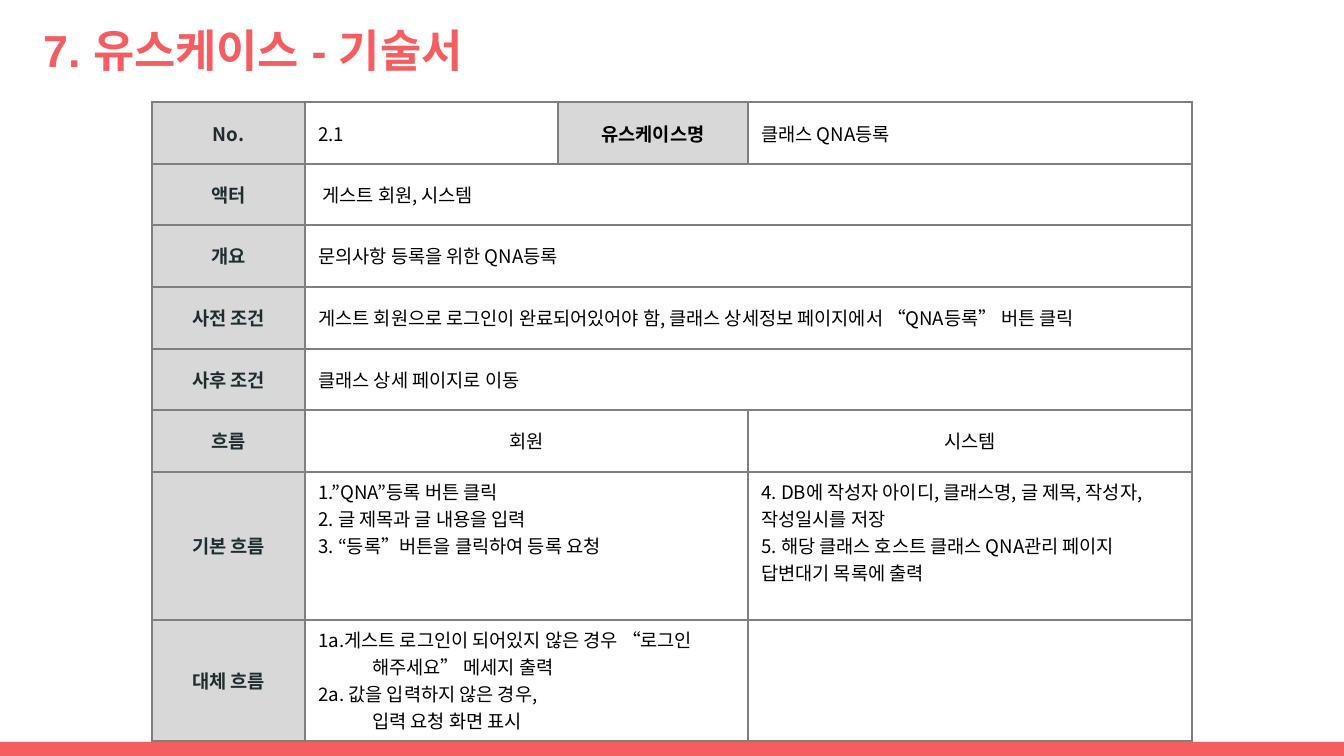
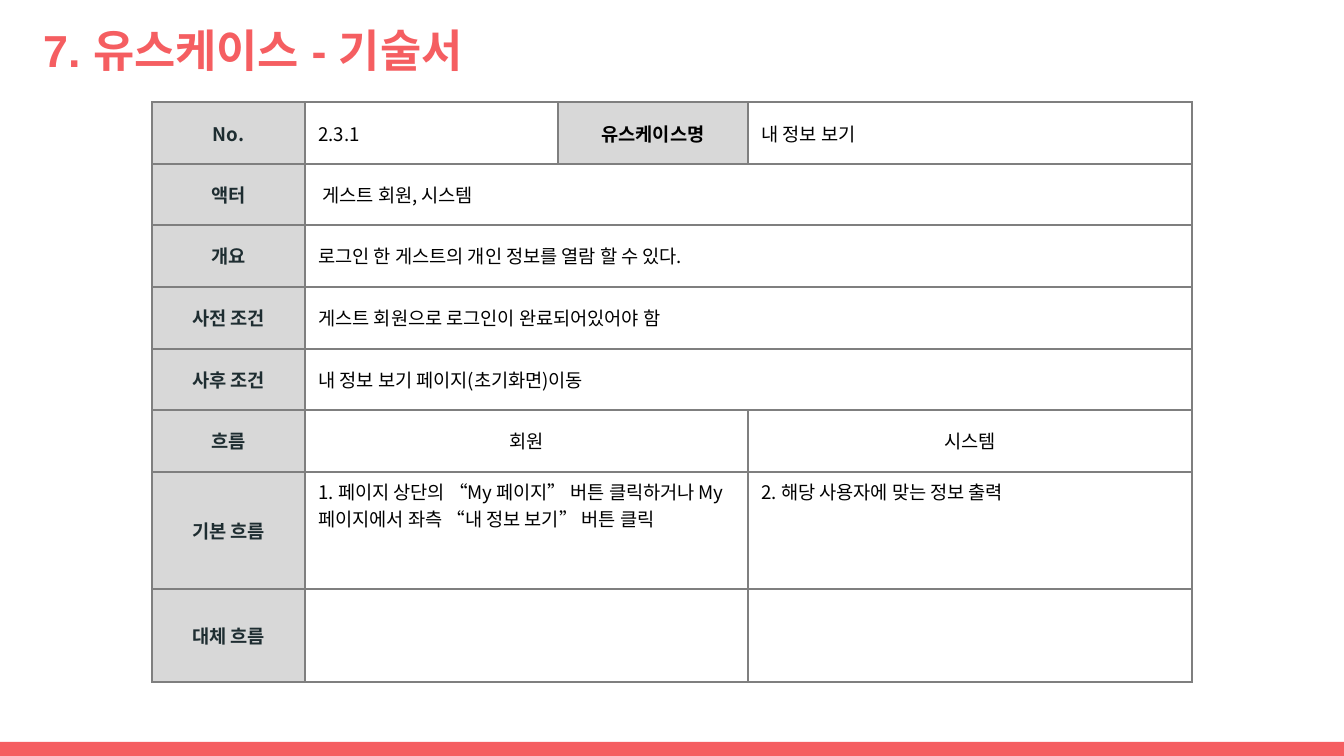
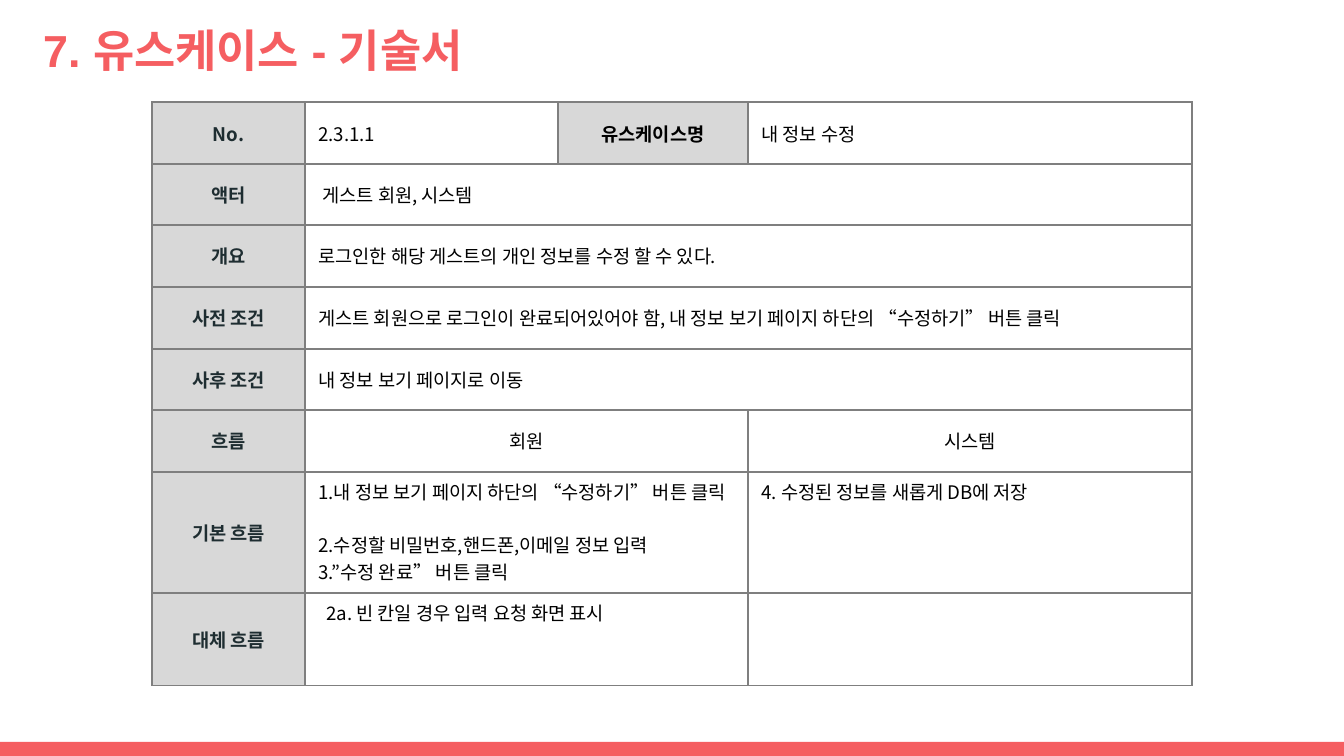
from dataclasses import dataclass

from lxml import etree
from pptx import Presentation
from pptx.dml.color import RGBColor
from pptx.enum import shapes, text
from pptx.oxml import ns
from pptx.util import Emu, Pt

PX = 914400 / 134.4
SLIDE_WIDTH, SLIDE_HEIGHT = 1344, 756

CORAL = RGBColor(0xF5, 0x5E, 0x61)
GREY = RGBColor(0xD8, 0xD8, 0xD8)
BORDER = RGBColor(0x7F, 0x7F, 0x7F)
LABEL_INK = RGBColor(0x1E, 0x2D, 0x31)
BLACK = RGBColor(0, 0, 0)

TITLE_FONT = "Arial"
TABLE_FONT = "Noto Sans CJK KR"

TITLE_BOX = (30, 9, 1252, 81)
BAND_BOX = (0, 742, SLIDE_WIDTH, 14)
TABLE_LEFT, TABLE_TOP = 152, 102
COLUMNS = (153, 253, 190, 444)
HEADER_ROWS = (62, 61, 62, 62, 61, 62)
LABELS = ("No.", "액터", "개요", "사전 조건", "사후 조건", "흐름", "기본 흐름", "대체 흐름")
HANG = 54


@dataclass
class Line:
    text: str
    margin: int = 0
    indent: int = 0
    gap: int = 0


@dataclass
class UseCase:
    number: str
    name: str
    summary: str
    precondition: str
    postcondition: str
    member_steps: list
    system_steps: list
    alternatives: list
    flow_heights: tuple


USE_CASES = [
    UseCase(
        "2.1",
        "클래스 QNA등록",
        "문의사항 등록을 위한 QNA등록",
        "게스트 회원으로 로그인이 완료되어있어야 함, 클래스 상세정보 페이지에서 “QNA등록” 버튼 클릭",
        "클래스 상세 페이지로 이동",
        [
            Line("1.”QNA”등록 버튼 클릭"),
            Line("2. 글 제목과 글 내용을 입력"),
            Line("3. “등록”버튼을 클릭하여 등록 요청"),
        ],
        [
            Line("4. DB에 작성자 아이디, 클래스명, 글 제목, 작성자, 작성일시를 저장"),
            Line("5. 해당 클래스 호스트 클래스 QNA관리 페이지 답변대기 목록에 출력"),
        ],
        [
            Line("1a.게스트 로그인이 되어있지 않은 경우 “로그인 해주세요” 메세지 출력", HANG, -HANG),
            Line("2a. 값을 입력하지 않은 경우,\n입력 요청 화면 표시", HANG, -HANG),
        ],
        (148, 121),
    ),
    UseCase(
        "2.3.1",
        "내 정보 보기",
        "로그인 한 게스트의 개인 정보를 열람 할 수 있다.",
        "게스트 회원으로 로그인이 완료되어있어야 함",
        "내 정보 보기 페이지(초기화면)이동",
        [Line("1. 페이지 상단의 “My 페이지” 버튼 클릭하거나 My페이지에서 좌측 “내 정보 보기” 버튼 클릭")],
        [Line("2. 해당 사용자에 맞는 정보 출력")],
        [],
        (117, 93),
    ),
    UseCase(
        "2.3.1.1",
        "내 정보 수정",
        "로그인한 해당 게스트의 개인 정보를 수정 할 수 있다.",
        "게스트 회원으로 로그인이 완료되어있어야 함, 내 정보 보기 페이지 하단의 “수정하기” 버튼 클릭",
        "내 정보 보기 페이지로 이동",
        [
            Line("1.내 정보 보기 페이지 하단의 “수정하기” 버튼 클릭"),
            Line("2.수정할 비밀번호,핸드폰,이메일 정보 입력", gap=14),
            Line("3.”수정 완료” 버튼 클릭"),
        ],
        [Line("4. 수정된 정보를 새롭게 DB에 저장")],
        [Line("2a. 빈 칸일 경우 입력 요청 화면 표시", HANG, 8 - HANG)],
        (121, 93),
    ),
]


def px(length):
    return Emu(round(length * PX))


def style_paragraph(paragraph, font_name, size, color, bold):
    font = paragraph.font
    font.name, font.size, font.bold = font_name, Pt(size), bold
    font.color.rgb = color
    defaults = paragraph._p.pPr.find(ns.qn("a:defRPr"))
    etree.SubElement(defaults, ns.qn("a:ea"), typeface=font_name)


def add_band(slide, box):
    band = slide.shapes.add_shape(shapes.MSO_SHAPE.RECTANGLE, *map(px, box))
    band.shadow.inherit = False
    band.fill.solid()
    band.fill.fore_color.rgb = CORAL
    band.line.fill.background()


def add_title(slide, box, title):
    frame = slide.shapes.add_textbox(*map(px, box)).text_frame
    frame.word_wrap = True
    frame.vertical_anchor = text.MSO_ANCHOR.MIDDLE
    paragraph = frame.paragraphs[0]
    paragraph.text = title
    style_paragraph(paragraph, TITLE_FONT, 24, CORAL, True)


def format_cell(cell, shaded):
    properties = cell._tc.get_or_add_tcPr()
    for side in ("lnL", "lnR", "lnT", "lnB"):
        line = etree.SubElement(properties, ns.qn(f"a:{side}"), w=str(Pt(1)))
        fill = etree.SubElement(line, ns.qn("a:solidFill"))
        etree.SubElement(fill, ns.qn("a:srgbClr"), val=str(BORDER))
    if shaded:
        cell.fill.solid()
        cell.fill.fore_color.rgb = GREY
    else:
        cell.fill.background()


def write_cell(cell, lines, color=BLACK, bold=False, centred=False, middle=True):
    cell.vertical_anchor = text.MSO_ANCHOR.MIDDLE if middle else text.MSO_ANCHOR.TOP
    frame = cell.text_frame
    for index, line in enumerate(lines or [Line("")]):
        paragraph = frame.add_paragraph() if index else frame.paragraphs[0]
        paragraph.text = line.text
        paragraph.alignment = text.PP_ALIGN.CENTER if centred else text.PP_ALIGN.LEFT
        if line.gap:
            paragraph.space_before = Pt(line.gap)
        if line.margin:
            paragraph._p.pPr.set("marL", str(px(line.margin)))
            paragraph._p.pPr.set("indent", str(px(line.indent)))
        style_paragraph(paragraph, TABLE_FONT, 10, color, bold)


def add_use_case_table(slide, left, top, use_case):
    heights = HEADER_ROWS + use_case.flow_heights
    box = (left, top, sum(COLUMNS), sum(heights))
    table = slide.shapes.add_table(len(heights), len(COLUMNS), *map(px, box)).table
    table.first_row = table.horz_banding = False
    for column, width in zip(table.columns, COLUMNS):
        column.width = px(width)
    for row, height in zip(table.rows, heights):
        row.height = px(height)

    for row in range(len(heights)):
        for column in range(len(COLUMNS)):
            format_cell(table.cell(row, column), column == 0 or (row, column) == (0, 2))
        if row:
            table.cell(row, 1).merge(table.cell(row, 3 if row < 5 else 2))

    for row, label in enumerate(LABELS):
        write_cell(table.cell(row, 0), [Line(label)], LABEL_INK, bold=True, centred=True)
    write_cell(table.cell(0, 1), [Line(use_case.number)])
    write_cell(table.cell(0, 2), [Line("유스케이스명")], bold=True, centred=True)
    write_cell(table.cell(0, 3), [Line(use_case.name)])
    details = (" 게스트 회원, 시스템", use_case.summary, use_case.precondition, use_case.postcondition)
    for row, detail in enumerate(details, start=1):
        write_cell(table.cell(row, 1), [Line(detail)])
    for column, role in ((1, "회원"), (3, "시스템")):
        write_cell(table.cell(5, column), [Line(role)], centred=True)
    flows = ((use_case.member_steps, use_case.system_steps), (use_case.alternatives, []))
    for row, (member, system) in enumerate(flows, start=6):
        write_cell(table.cell(row, 1), member, middle=False)
        write_cell(table.cell(row, 3), system, middle=False)


def add_use_case_slide(presentation, use_case):
    slide = presentation.slides.add_slide(presentation.slide_layouts[6])
    add_band(slide, BAND_BOX)
    add_title(slide, TITLE_BOX, "7. 유스케이스 - 기술서")
    add_use_case_table(slide, TABLE_LEFT, TABLE_TOP, use_case)


def main():
    presentation = Presentation()
    presentation.slide_width = px(SLIDE_WIDTH)
    presentation.slide_height = px(SLIDE_HEIGHT)
    for use_case in USE_CASES:
        add_use_case_slide(presentation, use_case)
    presentation.save("out.pptx")


if __name__ == "__main__":
    main()
